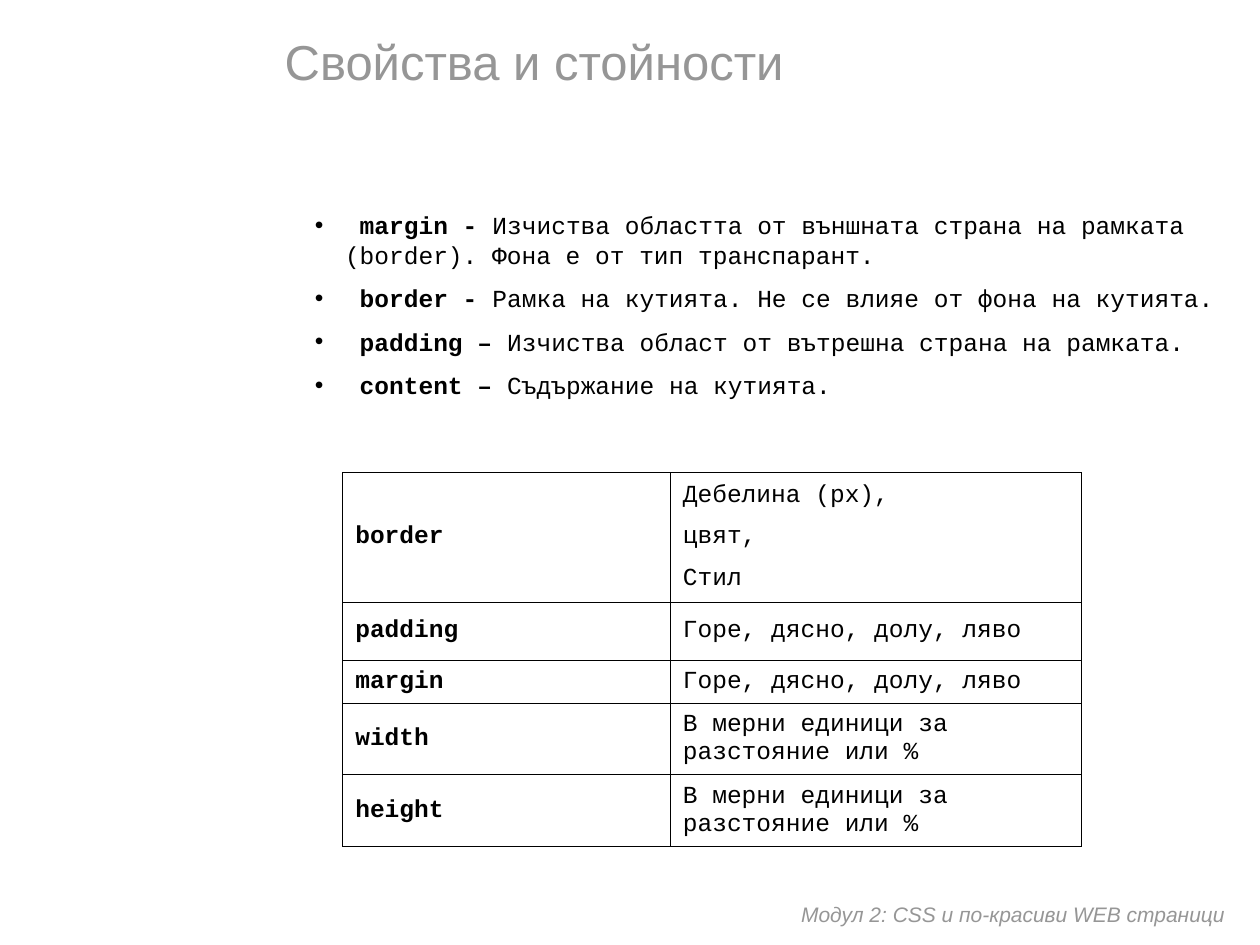
"""Build the slide on CSS box properties and their values."""
from dataclasses import dataclass

from lxml import etree
from pptx import Presentation
from pptx import util as u
from pptx.dml.color import RGBColor
from pptx.enum import text
from pptx.oxml import ns


@dataclass(frozen=True)
class Theme:
    grey: str = "969696"
    black: str = "000000"
    sans: str = "Arial"
    mono: str = "Courier New"
    title_size: int = 28
    body_size: int = 14
    footer_size: int = 12
    gap: int = 8
    border: float = 0.45


@dataclass(frozen=True)
class Definition:
    term: str
    meaning: str


@dataclass(frozen=True)
class PropertyRow:
    name: str
    values: tuple[str, ...]
    height: float


THEME = Theme()
DEFINITIONS = (
    Definition(" margin - ", "Изчиства областта от външната страна на рамката (border). Фона е от тип транспарант."),
    Definition(" border - ", "Рамка на кутията. Не се влияе от фона на кутията."),
    Definition(" padding – ", "Изчиства област от вътрешна страна на рамката."),
    Definition(" content – ", "Съдържание на кутията."),
)
SIDES = ("Горе, дясно, долу, ляво",)
LENGTH = ("В мерни единици за разстояние или %",)
ROWS = (
    PropertyRow("border", ("Дебелина (px),", "цвят,", "Стил"), 1.03),
    PropertyRow("padding", SIDES, 0.46),
    PropertyRow("margin", SIDES, 0.34),
    PropertyRow("width", LENGTH, 0.57),
    PropertyRow("height", LENGTH, 0.57),
)
COLUMNS = (2.6, 3.26)


def inches(*lengths: float) -> tuple[u.Length, ...]:
    """Convert several lengths to inches."""
    return tuple(u.Inches(length) for length in lengths)


def set_font(font, name: str, size: int, color: str) -> None:
    """Apply a typeface, size and colour."""
    font.name, font.size = name, u.Pt(size)
    font.color.rgb = RGBColor.from_string(color)


def next_para(frame, index: int):
    """Return the first paragraph, or a new one after it."""
    return frame.add_paragraph() if index else frame.paragraphs[0]


def set_bullet(para) -> None:
    """Give a paragraph a round bullet with a hanging indent."""
    props = para._p.get_or_add_pPr()
    indent = u.Inches(0.24)
    props.set("marL", str(indent))
    props.set("indent", str(-indent))
    color = etree.SubElement(props, ns.qn("a:buClr"))
    etree.SubElement(color, ns.qn("a:srgbClr"), val=THEME.black)
    etree.SubElement(props, ns.qn("a:buFont"), typeface=THEME.sans)
    etree.SubElement(props, ns.qn("a:buChar"), char="•")


def set_borders(cell) -> None:
    """Draw a thin line on each side of a cell."""
    props = cell._tc.get_or_add_tcPr()
    for index, side in enumerate(("lnL", "lnR", "lnT", "lnB")):
        line = etree.Element(ns.qn(f"a:{side}"), w=str(u.Pt(THEME.border)))
        fill = etree.SubElement(line, ns.qn("a:solidFill"))
        etree.SubElement(fill, ns.qn("a:srgbClr"), val=THEME.black)
        props.insert(index, line)


def add_title(page, words: str) -> None:
    """Place and format the title."""
    box = page.shapes.title
    box.left, box.top, box.width, box.height = inches(2.16, 0.13, 7.59, 0.7)
    frame = box.text_frame
    frame.text = words
    frame.auto_size = text.MSO_AUTO_SIZE.NONE
    frame.vertical_anchor = text.MSO_ANCHOR.MIDDLE
    para = frame.paragraphs[0]
    para.alignment = text.PP_ALIGN.LEFT
    set_font(para.font, THEME.sans, THEME.title_size, THEME.grey)


def add_footer(page, words: str) -> None:
    """Add the module name at the bottom right."""
    frame = page.shapes.add_textbox(*inches(6.26, 7.11, 3.61, 0.3)).text_frame
    frame.word_wrap = True
    para = frame.paragraphs[0]
    para.text = words
    set_font(para.font, THEME.sans, THEME.footer_size, THEME.grey)
    para.font.italic = True


def add_definitions(page, definitions: tuple[Definition, ...]) -> None:
    """List the parts of the box model."""
    frame = page.shapes.add_textbox(*inches(2.4, 1.62, 7.4, 1.65)).text_frame
    frame.word_wrap = True
    for index, definition in enumerate(definitions):
        para = next_para(frame, index)
        set_bullet(para)
        para.space_before = u.Pt(THEME.gap)
        set_font(para.font, THEME.mono, THEME.body_size, THEME.black)
        for words, bold in ((definition.term, True), (definition.meaning, False)):
            span = para.add_run()
            span.text, span.font.bold = words, bold


def fill_cell(cell, lines: tuple[str, ...], bold: bool) -> None:
    """Write the lines of one bordered cell."""
    cell.fill.background()
    set_borders(cell)
    cell.vertical_anchor = text.MSO_ANCHOR.MIDDLE
    for index, words in enumerate(lines):
        para = next_para(cell.text_frame, index)
        para.text = words
        para.space_before = u.Pt(THEME.gap)
        set_font(para.font, THEME.mono, THEME.body_size, THEME.black)
        para.font.bold = bold


def add_properties(page, rows: tuple[PropertyRow, ...]) -> None:
    """Tabulate the properties and the values they take."""
    size = inches(sum(COLUMNS), sum(row.height for row in rows))
    table = page.shapes.add_table(len(rows), len(COLUMNS), *inches(2.72, 3.75), *size).table
    table.first_row = table.horz_banding = False
    for column, width in zip(table.columns, COLUMNS):
        column.width = u.Inches(width)
    for index, row in enumerate(rows):
        table.rows[index].height = u.Inches(row.height)
        fill_cell(table.cell(index, 0), (row.name,), True)
        fill_cell(table.cell(index, 1), row.values, False)


def main() -> None:
    """Assemble and save the deck."""
    deck = Presentation()
    deck.slide_width, deck.slide_height = inches(10, 7.5)
    page = deck.slides.add_slide(deck.slide_layouts[5])
    add_title(page, "Свойства и стойности")
    add_footer(page, "Модул 2: CSS и по-красиви WEB страници")
    add_definitions(page, DEFINITIONS)
    add_properties(page, ROWS)
    deck.save("out.pptx")


if __name__ == "__main__":
    main()
